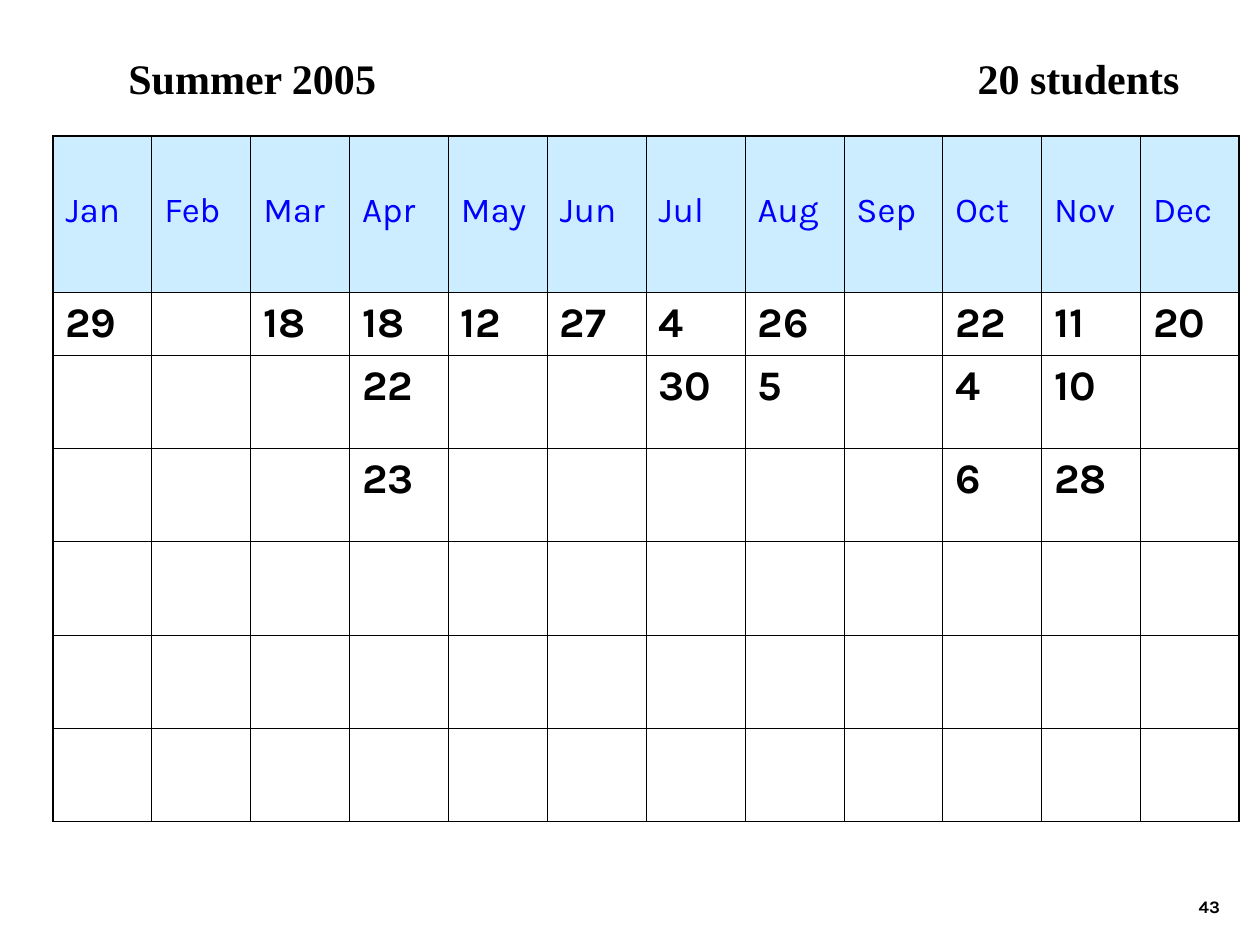
from dataclasses import dataclass

from lxml.etree import SubElement
from pptx import Presentation
from pptx.dml.color import RGBColor
from pptx.enum.text import MSO_ANCHOR as Anchor, PP_ALIGN as Align
from pptx.oxml.ns import qn
from pptx.util import Inches, Pt

BLACK, WHITE, BLUE, PALE_BLUE = "000000", "FFFFFF", "0000FF", "CCECFF"
THIN, THICK = 0.45, 1.08

MONTHS = ["Jan", "Feb", "Mar", "Apr", "May", "Jun",
          "Jul", "Aug", "Sep", "Oct", "Nov", "Dec"]
DAYS = {
    "Jan": [29], "Mar": [18], "Apr": [18, 22, 23], "May": [12],
    "Jun": [27], "Jul": [4, 30], "Aug": [26, 5],
    "Oct": [22, 4, 6], "Nov": [11, 10, 28], "Dec": [20],
}
TABLE_WIDTH = 9.42
ROW_HEIGHTS = [1.24, 0.5] + [0.74] * 5


@dataclass
class TextStyle:
    font: str
    size: float
    color: str = BLACK
    bold: bool = True


MONTH_STYLE = TextStyle("Karla", 20, BLUE, bold=False)
DAY_STYLE = TextStyle("Karla", 24)


def rgb(color: str) -> RGBColor:
    return RGBColor.from_string(color)


def style_paragraph(paragraph, style: TextStyle) -> None:
    font = paragraph.font
    font.name, font.size, font.bold = style.font, Pt(style.size), style.bold
    font.color.rgb = rgb(style.color)


def add_text(slide, left: float, top: float, width: float, height: float,
             text: str, style: TextStyle):
    box = slide.shapes.add_textbox(
        Inches(left), Inches(top), Inches(width), Inches(height))
    box.text_frame.word_wrap = True
    paragraph = box.text_frame.paragraphs[0]
    paragraph.text = text
    return box.text_frame, paragraph, style


def add_tab_stop(paragraph, position: float) -> None:
    tab_list = SubElement(paragraph._p.get_or_add_pPr(), qn("a:tabLst"))
    SubElement(tab_list, qn("a:tab"), pos=str(Inches(position)), algn="l")


def set_borders(cell, widths: dict[str, float]) -> None:
    properties = cell._tc.get_or_add_tcPr()
    for side, width in widths.items():
        line = SubElement(properties, qn(f"a:ln{side}"), w=str(Pt(width)))
        fill = SubElement(line, qn("a:solidFill"))
        SubElement(fill, qn("a:srgbClr"), val=BLACK)


def fill_cell(cell, text: str, style: TextStyle, fill: str) -> None:
    cell.fill.solid()
    cell.fill.fore_color.rgb = rgb(fill)
    cell.text = text
    style_paragraph(cell.text_frame.paragraphs[0], style)


def add_calendar(slide) -> None:
    row_count, column_count = len(ROW_HEIGHTS), len(MONTHS)
    table = slide.shapes.add_table(
        row_count, column_count, Inches(0.42), Inches(1.08),
        Inches(TABLE_WIDTH), Inches(sum(ROW_HEIGHTS))).table
    table.first_row = table.horz_banding = False
    for row, height in zip(table.rows, ROW_HEIGHTS):
        row.height = Inches(height)

    for column, month in enumerate(MONTHS):
        table.columns[column].width = Inches(TABLE_WIDTH / column_count)
        days = DAYS.get(month, [])
        for row in range(row_count):
            cell = table.cell(row, column)
            set_borders(cell, {
                "L": THICK if column == 0 else THIN,
                "R": THICK if column == column_count - 1 else THIN,
                "T": THICK if row == 0 else THIN,
                "B": THICK if row == row_count - 1 else THIN,
            })
            if row == 0:
                fill_cell(cell, month, MONTH_STYLE, PALE_BLUE)
                cell.vertical_anchor = Anchor.MIDDLE
                cell.margin_bottom = Inches(0.1)
            else:
                text = str(days[row - 1]) if row <= len(days) else ""
                fill_cell(cell, text, DAY_STYLE, WHITE)


def main() -> None:
    presentation = Presentation()
    presentation.slide_width, presentation.slide_height = Inches(10), Inches(7.5)
    slide = presentation.slides.add_slide(presentation.slide_layouts[6])

    # Page number
    frame, paragraph, style = add_text(
        slide, 7.7, 6.83, 2.08, 0.5, "43", TextStyle("Karla", 10))
    frame.vertical_anchor = Anchor.BOTTOM
    paragraph.alignment = Align.RIGHT
    style_paragraph(paragraph, style)

    # Heading: term on the left, class size at a tab stop
    frame, paragraph, style = add_text(
        slide, 0.92, 0.33, 8.58, 0.5, "Summer 2005\t20 students",
        TextStyle("Times New Roman", 24))
    frame.margin_top = Inches(0.09)
    add_tab_stop(paragraph, 6.74)
    style_paragraph(paragraph, style)

    # Calendar of days by month
    add_calendar(slide)

    presentation.save("out.pptx")


if __name__ == "__main__":
    main()
